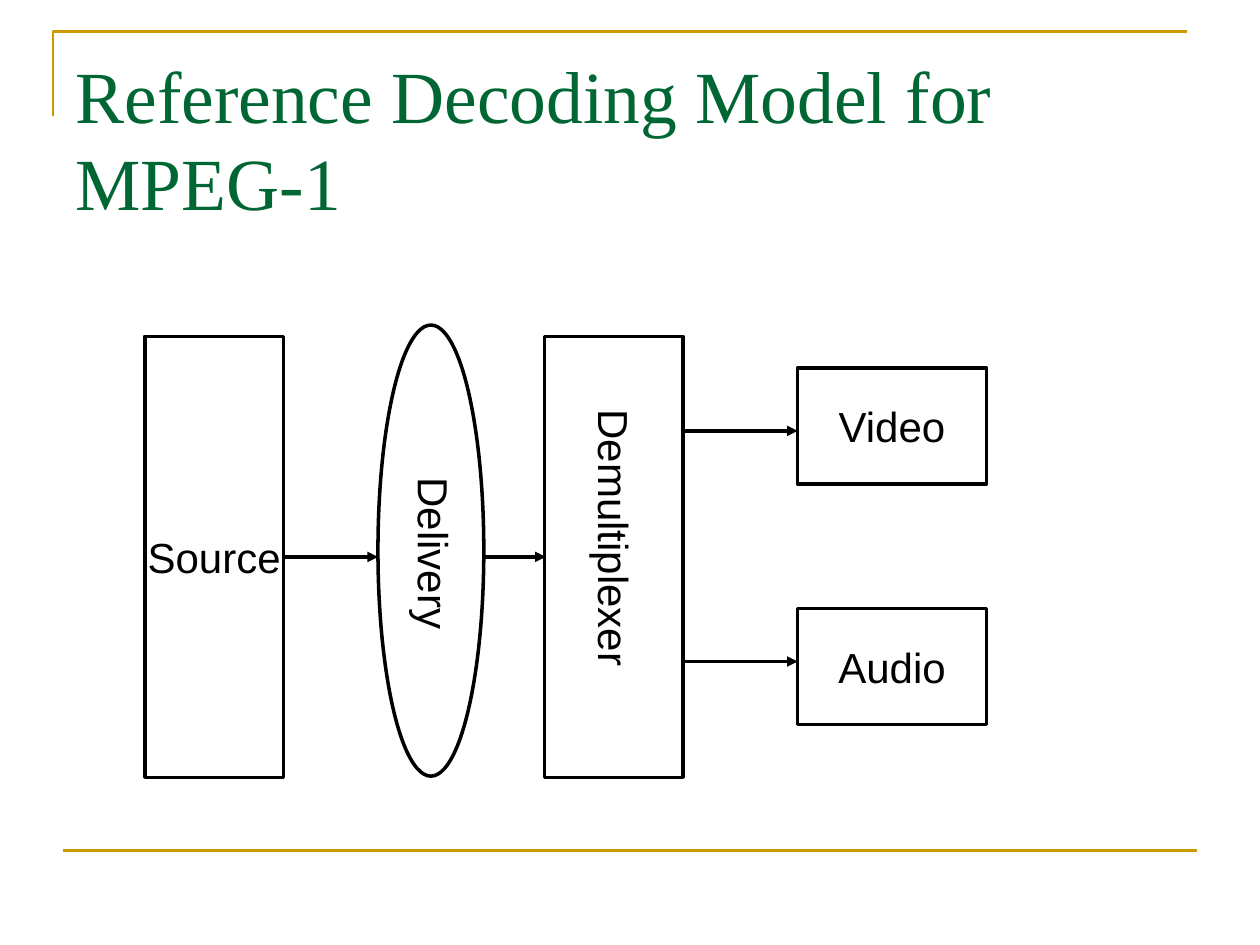
"""Build a slide with the reference decoding model for MPEG-1 as a block diagram."""
from lxml import etree
from pptx import Presentation
from pptx.dml.color import RGBColor
from pptx.enum.shapes import MSO_CONNECTOR, MSO_SHAPE
from pptx.enum.text import MSO_ANCHOR, MSO_AUTO_SIZE, PP_ALIGN
from pptx.oxml.ns import qn
from pptx.util import Inches, Pt

GOLD = RGBColor(0xCC, 0x99, 0x00)
GREEN = RGBColor(0x00, 0x66, 0x33)
BLACK = RGBColor(0x00, 0x00, 0x00)
RECTANGLE, ELLIPSE = MSO_SHAPE.RECTANGLE, MSO_SHAPE.OVAL
STRAIGHT = MSO_CONNECTOR.STRAIGHT
TOP, MIDDLE = MSO_ANCHOR.TOP, MSO_ANCHOR.MIDDLE
LEFT, CENTER = PP_ALIGN.LEFT, PP_ALIGN.CENTER
NO_FIT = MSO_AUTO_SIZE.NONE

TITLE = "Reference Decoding Model for MPEG-1"
TITLE_FONT = {"name": "Times New Roman", "size": Pt(42)}
LABEL_FONT = {"name": "Arial", "size": Pt(24)}
MARGINS = ("margin_left", "margin_top", "margin_right", "margin_bottom")

BLOCKS = [
    (RECTANGLE, (1.15, 2.67, 1.1, 3.5), "Source"),
    (ELLIPSE, (3, 2.58, 0.84, 3.58), ""),
    (RECTANGLE, (4.32, 2.67, 1.1, 3.5), ""),
    (RECTANGLE, (6.33, 2.92, 1.5, 0.92), "Video"),
    (RECTANGLE, (6.33, 4.83, 1.5, 0.92), "Audio"),
]
VERTICAL_LABELS = [
    ((3.25, 3.79, 0.4, 1.2), "Delivery"),
    ((4.68, 3.25, 0.4, 2.04), "Demultiplexer"),
]
ARROWS = [(2.25, 3, 4.42), (3.83, 4.33, 4.42), (5.42, 6.33, 3.42), (5.42, 6.33, 5.25)]
FRAME_CORNER = [(0.42, 0.92), (0.42, 0.25), (9.42, 0.25)]
FOOT_RULE = (0.5, 9.5, 6.75)


def apply(target, values):
    for name, value in values.items():
        setattr(target, name, value)


def set_line(shape, color, width):
    shape.line.color.rgb = color
    shape.line.width = Pt(width)


def write(frame, text, font, color, align, **layout):
    apply(frame, layout)
    para = frame.paragraphs[0]
    para.alignment = align
    span = para.add_run()
    span.text = text
    apply(span.font, font)
    span.font.color.rgb = color


def add_label(frame, text, align, **layout):
    write(frame, text, LABEL_FONT, BLACK, align, **dict.fromkeys(MARGINS, 0), **layout)


def add_block(page, kind, place, label):
    block = page.shapes.add_shape(kind, *map(Inches, place))
    block.shadow.inherit = False
    block.fill.background()
    set_line(block, BLACK, 2)
    if label:
        add_label(block.text_frame, label, CENTER, vertical_anchor=MIDDLE, word_wrap=False)


def add_vertical_label(page, place, label):
    frame = page.shapes.add_textbox(*map(Inches, place)).text_frame
    frame._txBody.bodyPr.set("vert", "eaVert")
    add_label(frame, label, LEFT, vertical_anchor=TOP, word_wrap=False)


def add_rule(page, start, end, height, color, width, arrow=False):
    rule = page.shapes.add_connector(STRAIGHT, *map(Inches, (start, height, end, height)))
    set_line(rule, color, width)
    if arrow:
        etree.SubElement(rule.line._get_or_add_ln(), qn("a:tailEnd"), type="triangle")
    etree.SubElement(rule._element.spPr, qn("a:effectLst"))


def add_frame_corner(page):
    first, *others = [tuple(map(Inches, point)) for point in FRAME_CORNER]
    builder = page.shapes.build_freeform(*first)
    builder.add_line_segments(others, close=False)
    corner = builder.convert_to_shape()
    corner.shadow.inherit = False
    corner.fill.background()
    set_line(corner, GOLD, 1.5)


def add_title(page):
    title = page.shapes.title
    apply(title, dict(left=Inches(0.5), top=Inches(0.3), width=Inches(9), height=Inches(1.25)))
    write(title.text_frame, TITLE, TITLE_FONT, GREEN, LEFT, vertical_anchor=TOP,
          word_wrap=True, auto_size=NO_FIT, margin_top=Inches(0.1))
    title.text_frame.paragraphs[0].line_spacing = Pt(50)


def main():
    deck = Presentation()
    apply(deck, dict(slide_width=Inches(10), slide_height=Inches(7.5)))
    page = deck.slides.add_slide(deck.slide_layouts[5])
    add_frame_corner(page)
    add_rule(page, *FOOT_RULE, GOLD, 1.5)
    add_title(page)
    for block in BLOCKS:
        add_block(page, *block)
    for label in VERTICAL_LABELS:
        add_vertical_label(page, *label)
    for arrow in ARROWS:
        add_rule(page, *arrow, BLACK, 2, arrow=True)
    deck.save("out.pptx")


if __name__ == "__main__":
    main()
